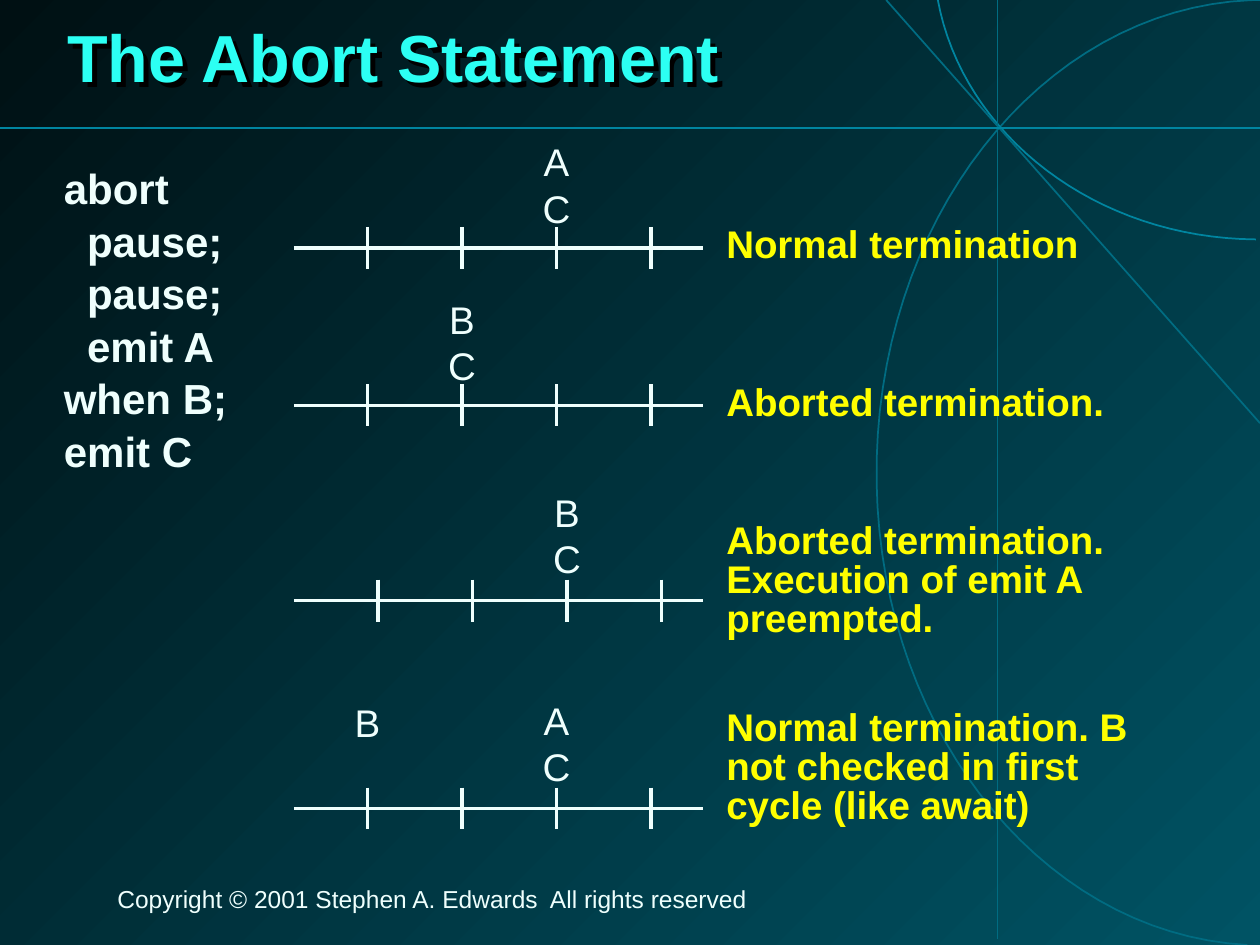
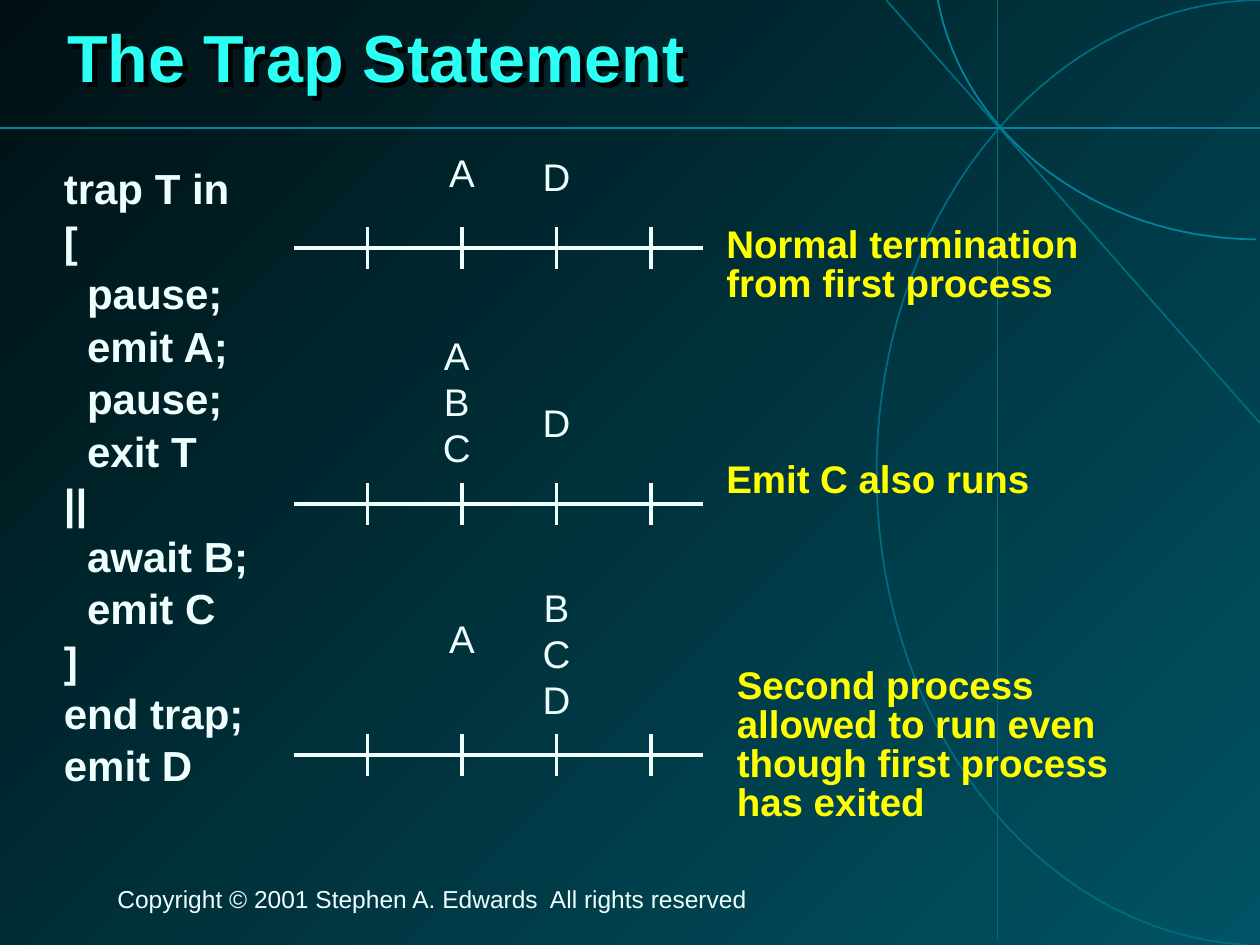
from dataclasses import dataclass

from lxml import etree
from pptx import Presentation
from pptx.dml.color import RGBColor
from pptx.enum.shapes import MSO_CONNECTOR
from pptx.enum.text import MSO_ANCHOR, MSO_AUTO_SIZE, PP_ALIGN
from pptx.oxml import parse_xml
from pptx.oxml.ns import nsdecls, qn
from pptx.util import Pt

PX = 7620
SLIDE_WIDTH, SLIDE_HEIGHT = 1200, 900
FONT = "Arial"
PALE = RGBColor(0xEF, 0xFF, 0xFD)
CYAN = RGBColor(0x2C, 0xFF, 0xF3)
YELLOW = RGBColor(0xFF, 0xFF, 0x00)
TEAL = RGBColor(0x00, 0x53, 0x64)
NIGHT = RGBColor(0x00, 0x10, 0x13)
ARC_DIM = RGBColor(0x00, 0x6C, 0x82)
ARC_BRIGHT = RGBColor(0x00, 0x85, 0xA0)

TITLE_BOX = (52, 0, 1105, 118)
CODE_BOX = (49, 149, 225, 671)
COPYRIGHT_BOX = (100, 840, 970, 36)
AXIS_LEFT, AXIS_WIDTH = 280, 390
TICK_GAP, TICK_COUNT, TICK_REACH = 90, 4, 20
SIGNAL_WIDTH, SIGNAL_LINE = 60, 44
CAPTION_OFFSET, CAPTION_LINE = 400, 38


@dataclass
class Signal:
    tick: int
    letters: str
    rise: int
    shift: int = 0


@dataclass
class Timeline:
    axis: int
    signals: list
    caption: str
    caption_rise: int
    caption_lines: int = 1
    caption_width: int = 410
    caption_shift: int = 0
    first_tick: int = 70


def px(*lengths):
    return [length * PX for length in lengths]


def style(paragraph, size, color, bold=False):
    font = paragraph.font
    font.name, font.size, font.bold = FONT, Pt(size), bold
    font.color.rgb = color


def add_text(slide, box, lines, size, color, bold=False,
             align=PP_ALIGN.LEFT, spacing=1.0, gap=0):
    frame = slide.shapes.add_textbox(*px(*box)).text_frame
    frame.word_wrap = True
    frame.text = "\n".join(lines)
    for index, paragraph in enumerate(frame.paragraphs):
        paragraph.alignment = align
        paragraph.line_spacing = spacing
        if index:
            paragraph.space_before = Pt(gap)
        style(paragraph, size, color, bold)


def add_line(slide, start, end, color, width):
    line = slide.shapes.add_connector(MSO_CONNECTOR.STRAIGHT, *px(*start, *end))
    line.line.color.rgb = color
    line.line.width = Pt(width)
    etree.SubElement(line.element.spPr, qn("a:effectLst"))


def bezier(start, control_1, control_2, end, steps=32):
    for step in range(1, steps + 1):
        t = step / steps
        u = 1 - t
        yield tuple(
            round(PX * (u**3 * a + 3 * u**2 * t * b + 3 * u * t**2 * c + t**3 * d))
            for a, b, c, d in zip(start, control_1, control_2, end)
        )


def add_arc(slide, start, curves, color):
    builder = slide.shapes.build_freeform(*px(*start))
    for control_1, control_2, end in curves:
        builder.add_line_segments(
            list(bezier(start, control_1, control_2, end)), close=False)
        start = end
    arc = builder.convert_to_shape()
    arc.shadow.inherit = False
    arc.fill.background()
    arc.line.color.rgb = color
    arc.line.width = Pt(1)


def paint_background(master):
    fill = master.background.fill
    fill.gradient()
    fill.gradient_angle = 135
    for stop, color in zip(fill.gradient_stops, (TEAL, NIGHT)):
        stop.color.rgb = color


def draw_backdrop(slide):
    add_arc(slide, (1188, 900), [
        ((986, 889), (829, 683), (835, 437)),
        ((841, 191), (1008, -4), (1210, 0)),
    ], ARC_DIM)
    add_arc(slide, (1196, 228), [((1045, 227), (917, 130), (893, -1))], ARC_BRIGHT)
    add_line(slide, (SLIDE_WIDTH, 403), (844, 0), ARC_DIM, 1)
    add_line(slide, (950, 0), (950, 894), ARC_DIM, 1)
    add_line(slide, (0, 122), (SLIDE_WIDTH, 122), ARC_BRIGHT, 1)
    add_text(slide, COPYRIGHT_BOX,
             ["Copyright © 2001 Stephen A. Edwards  All rights reserved"],
             14, PALE, spacing=0.85)


def move_to_layout(slide, layout):
    for shape in list(slide.shapes):
        if not shape.is_placeholder:
            layout.shapes.element.append(shape.element)


def set_title(slide, text):
    title = slide.shapes.title
    title.left, title.top, title.width, title.height = px(*TITLE_BOX)
    frame = title.text_frame
    frame.text = text
    frame.auto_size = MSO_AUTO_SIZE.NONE
    frame.vertical_anchor = MSO_ANCHOR.MIDDLE
    heading = frame.paragraphs[0]
    heading.alignment = PP_ALIGN.LEFT
    heading.line_spacing = 0.87
    style(heading, 38, CYAN, True)
    title.element.spPr.append(parse_xml(
        f'<a:effectLst {nsdecls("a")}><a:outerShdw dist="50800" dir="2700000">'
        '<a:srgbClr val="000000"/></a:outerShdw></a:effectLst>'))


def draw_timeline(slide, left, timeline):
    axis = timeline.axis
    add_line(slide, (left, axis), (left + AXIS_WIDTH, axis), PALE, 2)
    ticks = [left + timeline.first_tick + TICK_GAP * i for i in range(TICK_COUNT)]
    for tick in ticks:
        add_line(slide, (tick, axis - TICK_REACH), (tick, axis + TICK_REACH), PALE, 2)
    for signal in timeline.signals:
        center = ticks[signal.tick] + signal.shift
        box = (center - SIGNAL_WIDTH // 2, axis - signal.rise,
               SIGNAL_WIDTH, SIGNAL_LINE * len(signal.letters) + 12)
        add_text(slide, box, signal.letters, 22, PALE, align=PP_ALIGN.CENTER)
    box = (left + CAPTION_OFFSET + timeline.caption_shift, axis - timeline.caption_rise,
           timeline.caption_width, CAPTION_LINE * timeline.caption_lines + 12)
    add_text(slide, box, [timeline.caption], 22, YELLOW, True, spacing=0.85)


def fill_statement(slide, title, code, timelines):
    set_title(slide, title)
    add_text(slide, CODE_BOX, code, 24, PALE, True, gap=1.2)
    for timeline in timelines:
        draw_timeline(slide, AXIS_LEFT, timeline)


ABORT_CODE = ["abort", "  pause;", "  pause;", "  emit A", "when B;", "emit C"]
ABORT_TIMELINES = [
    Timeline(236, [Signal(2, "AC", 110)], "Normal termination", 26),
    Timeline(386, [Signal(1, "BC", 110)], "Aborted termination.", 25, 1, 390),
    Timeline(572, [Signal(2, "BC", 112)],
             "Aborted termination. Execution of emit A preempted.", 80, 3, 390,
             first_tick=80),
    Timeline(770, [Signal(0, "B", 110), Signal(2, "AC", 112)],
             "Normal termination. B not checked in first cycle (like await)",
             100, 3, 430),
]
TRAP_CODE = ["trap T in", "[", "  pause;", "  emit A;", "  pause;", "  exit T",
             "||", "  await B;", "  emit C", "]", "end trap;", "emit D"]
TRAP_TIMELINES = [
    Timeline(236, [Signal(1, "A", 100), Signal(2, "D", 96)],
             "Normal termination from first process", 26, 2),
    Timeline(480, [Signal(1, "ABC", 170, -5), Signal(2, "D", 106)],
             "Emit C also runs", 46),
    Timeline(719, [Signal(1, "A", 139), Signal(2, "BCD", 169)],
             "Second process allowed to run even though first process has exited",
             89, 4, caption_shift=10),
]


def main():
    deck = Presentation()
    deck.slide_width, deck.slide_height = px(SLIDE_WIDTH, SLIDE_HEIGHT)
    paint_background(deck.slide_master)
    layout = deck.slide_layouts[5]
    abort, trap = [deck.slides.add_slide(layout) for _ in range(2)]
    draw_backdrop(abort)
    move_to_layout(abort, layout)
    fill_statement(abort, "The Abort Statement", ABORT_CODE, ABORT_TIMELINES)
    fill_statement(trap, "The Trap Statement", TRAP_CODE, TRAP_TIMELINES)
    deck.save("out.pptx")


if __name__ == "__main__":
    main()
